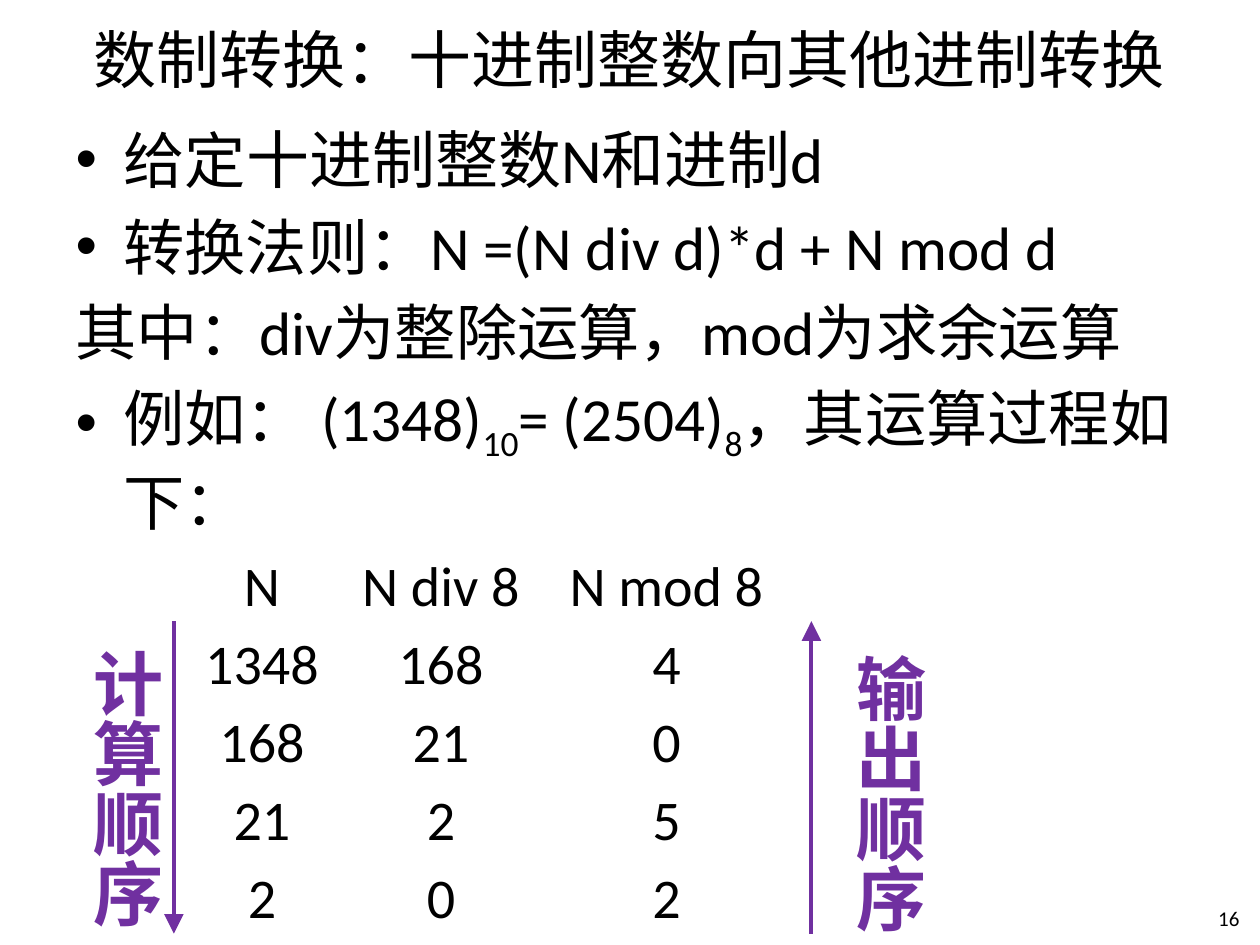
"""Build the slide on converting decimal integers to other bases."""
import lxml.etree
import pptx
import pptx.dml.color
import pptx.enum.shapes
import pptx.enum.text
import pptx.oxml.ns
import pptx.util

Inches = pptx.util.Inches
FONT = "Calibri"
BLACK = "000000"
PURPLE = "7030A0"
HANGING = 0.38
COLUMN_WIDTHS = (1.16, 1.68, 1.9)
ROW_HEIGHT = 0.62
POINTS = [
    (True, [("给定", 35, 0), ("十进制整数N和进制d", 36, 0)]),
    (True, [("转换法则：N =(N div d)*d + N mod d", 35, 0)]),
    (False, [("其中：div为整除运算，mod为求余运算", 35, 0)]),
    (True, [("例如： (1348)", 35, 0), ("10", 35, -25000), ("= (2504)", 35, 0),
            ("8", 35, -25000), ("，其运算过程如下：", 35, 0)]),
]
STEPS = [
    ("N", "N div 8", "N mod 8"),
    ("1348", "168", "4"),
    ("168", "21", "0"),
    ("21", "2", "5"),
    ("2", "0", "2"),
]


def rgb(value):
    """Return the colour for a hex string."""
    return pptx.dml.color.RGBColor.from_string(value)


def add_child(parent, tag, **attributes):
    """Append a DrawingML element to a parent."""
    child = lxml.etree.SubElement(parent, pptx.oxml.ns.qn(tag))
    for name, value in attributes.items():
        child.set(name, value)


def add_span(para, text, size=35, color=BLACK, bold=False, baseline=0):
    """Add formatted text to a paragraph."""
    span = para.add_run()
    span.text = text
    span.font.name = FONT
    span.font.size = pptx.util.Pt(size)
    span.font.bold = bold
    span.font.color.rgb = rgb(color)
    if baseline:
        span.font._element.set("baseline", str(baseline))


def place(box, left, top, width, height):
    """Move and size a box."""
    box.left, box.top = Inches(left), Inches(top)
    box.width, box.height = Inches(width), Inches(height)


def format_para(para, bullet):
    """Set the indent and bullet of a paragraph."""
    indent = HANGING if bullet else 0
    properties = para._p.get_or_add_pPr()
    properties.set("marL", str(Inches(indent)))
    properties.set("indent", str(-Inches(indent)))
    if bullet:
        add_child(properties, "a:buFont", typeface="Arial")
        add_child(properties, "a:buChar", char="•")
    else:
        add_child(properties, "a:buNone")


def fill_title(box, text):
    """Place and fill the title."""
    place(box, 0.49, 0, 9, 0.92)
    frame = box.text_frame
    frame.auto_size = pptx.enum.text.MSO_AUTO_SIZE.NONE
    frame.vertical_anchor = pptx.enum.text.MSO_ANCHOR.MIDDLE
    para = frame.paragraphs[0]
    para.alignment = pptx.enum.text.PP_ALIGN.CENTER
    add_span(para, text, size=36)


def fill_body(box):
    """Place the body and fill it with the points."""
    place(box, 0.5, 0.91, 9, 3.42)
    frame = box.text_frame
    frame.auto_size = pptx.enum.text.MSO_AUTO_SIZE.NONE
    for index, (bullet, spans) in enumerate(POINTS):
        para = frame.add_paragraph() if index else frame.paragraphs[0]
        format_para(para, bullet)
        for text, size, baseline in spans:
            add_span(para, text, size=size, baseline=baseline)
    frame.paragraphs[0].space_before = pptx.util.Pt(0)


def add_steps(page, left, top):
    """Add the plain table of division steps."""
    table = page.shapes.add_table(
        len(STEPS), len(COLUMN_WIDTHS), Inches(left), Inches(top),
        Inches(sum(COLUMN_WIDTHS)), Inches(ROW_HEIGHT * len(STEPS))).table
    table.first_row = table.horz_banding = False
    for column, width in zip(table.columns, COLUMN_WIDTHS):
        column.width = Inches(width)
    for row, step in zip(table.rows, STEPS):
        row.height = Inches(ROW_HEIGHT)
        for cell, value in zip(row.cells, step):
            cell.fill.background()
            cell.margin_left = cell.margin_right = 0
            cell.margin_top = cell.margin_bottom = 0
            cell.vertical_anchor = pptx.enum.text.MSO_ANCHOR.MIDDLE
            para = cell.text_frame.paragraphs[0]
            para.alignment = pptx.enum.text.PP_ALIGN.CENTER
            add_span(para, value, size=32)


def add_label(page, text, left, top, width, height, vertical=False, **style):
    """Add a text box, optionally with vertical East Asian text."""
    box = page.shapes.add_textbox(
        Inches(left), Inches(top), Inches(width), Inches(height))
    frame = box.text_frame
    frame.word_wrap = not vertical
    if vertical:
        frame.auto_size = pptx.enum.text.MSO_AUTO_SIZE.SHAPE_TO_FIT_TEXT
        frame._txBody.bodyPr.set("vert", "eaVert")
    add_span(frame.paragraphs[0], text, **style)


def add_arrow(page, x, start, end):
    """Add a vertical arrow with a large head."""
    arrow = page.shapes.add_connector(
        pptx.enum.shapes.MSO_CONNECTOR.STRAIGHT,
        Inches(x), Inches(start), Inches(x), Inches(end))
    arrow.line.color.rgb = rgb(PURPLE)
    arrow.line.width = pptx.util.Pt(2.25)
    add_child(arrow.line._get_or_add_ln(), "a:tailEnd",
              type="triangle", w="lg", len="lg")
    add_child(arrow._element.spPr, "a:effectLst")


def main():
    """Build and save the deck."""
    deck = pptx.Presentation()
    deck.slide_width, deck.slide_height = Inches(10), Inches(7.5)
    page = deck.slides.add_slide(deck.slide_layouts[1])
    fill_title(page.shapes.title, "数制转换：十进制整数向其他进制转换")
    fill_body(page.placeholders[1])
    add_steps(page, 1.5, 4.35)
    add_label(page, "16", 9.57, 7.14, 0.43, 0.36, size=12)
    add_arrow(page, 1.38, 4.93, 7.41)
    add_arrow(page, 6.44, 7.41, 4.93)
    for text, left, top in (("计算顺序", 0.5, 5.05), ("输出顺序", 6.56, 5.09)):
        add_label(page, text, left, top, 0.88, 2.31, vertical=True,
                  size=40, color=PURPLE, bold=True)
    deck.save("out.pptx")


if __name__ == "__main__":
    main()
